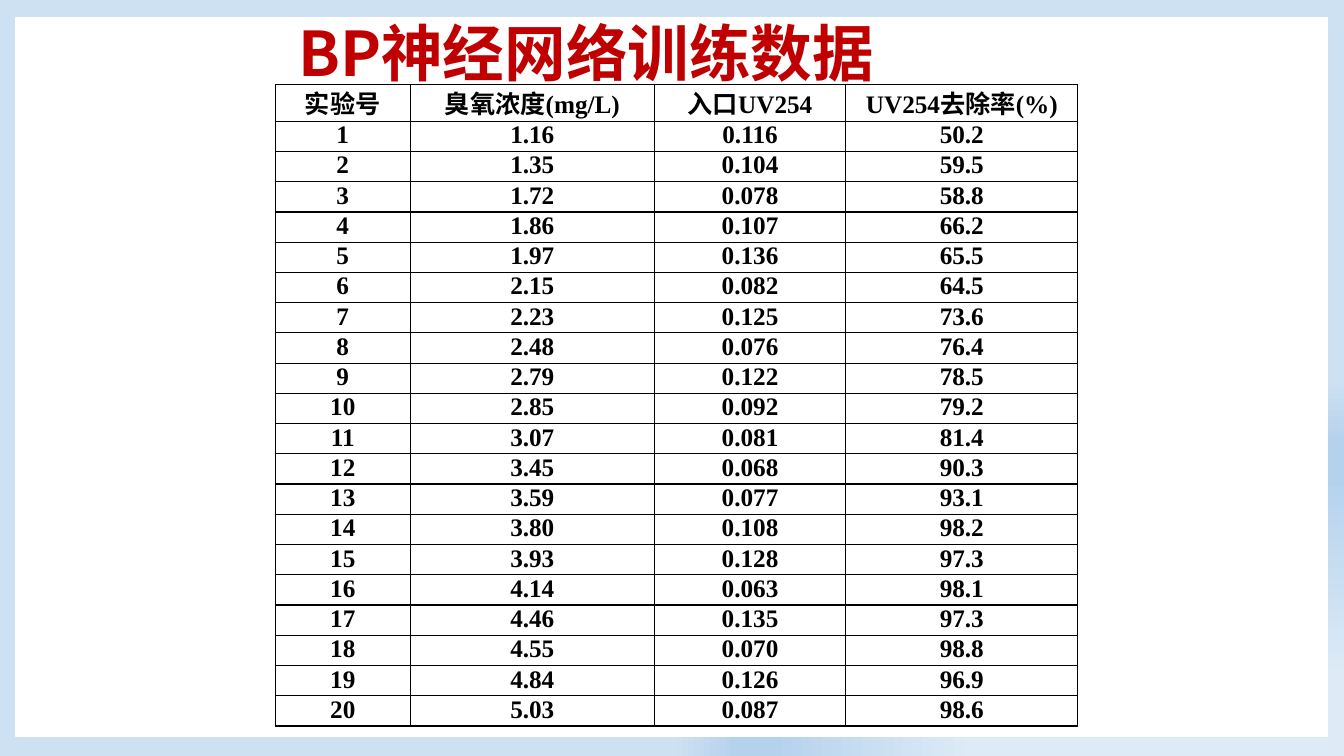
import pptx
import pptx.dml.color
import pptx.enum.shapes
import pptx.enum.text
import pptx.oxml
import pptx.oxml.ns
import pptx.util

CJK_FONT = "Noto Sans CJK SC"
NAMESPACE = pptx.oxml.ns.nsdecls("a")
CELL = pptx.util.Inches(0.1)  # side of one square of the layout grid


def paint(target, colour):
    """Set a fill or a font to a colour given as a hex string."""
    if hasattr(target, "solid"):
        target.solid()
        target = target.fore_color
    else:
        target = target.color
    target.rgb = pptx.dml.color.RGBColor.from_string(colour)


def add_span(para, text, size, font, colour):
    """Add one bold run, with the CJK font for its Chinese characters."""
    span = para.add_run()
    span.text = text
    span.font.size = pptx.util.Pt(size)
    span.font.bold = True
    span.font.name = font
    paint(span.font, colour)
    span.font._element.append(
        pptx.oxml.parse_xml(f'<a:ea {NAMESPACE} typeface="{CJK_FONT}"/>'))


deck = pptx.Presentation()
deck.slide_width = pptx.util.Inches(13.33)
deck.slide_height = pptx.util.Inches(7.5)
page = deck.slides.add_slide(deck.slide_layouts[6])

# Background: rectangular gradient spreading from the bottom right corner
page.background.fill.gradient()
gradient = page.element.find(".//" + pptx.oxml.ns.qn("a:gradFill"))
stops = [(20, "DEEBF7"), (74, "B5D2EC"), (83, "B5D2EC"), (100, "CEE1F2")]
stop_xml = "".join(
    f'<a:gs pos="{share * 1000}"><a:srgbClr val="{colour}"/></a:gs>'
    for share, colour in stops)
gradient.getparent().replace(gradient, pptx.oxml.parse_xml(
    f'<a:gradFill {NAMESPACE} rotWithShape="1"><a:gsLst>{stop_xml}</a:gsLst>'
    '<a:path path="rect"><a:fillToRect l="100000" t="100000"/></a:path>'
    '</a:gradFill>'))

# White panel
panel = page.shapes.add_shape(
    pptx.enum.shapes.MSO_SHAPE.RECTANGLE,
    *(int(CELL * count) for count in (1.6, 1.8, 130.1, 71.3)))
panel.shadow.inherit = False
paint(panel.fill, "FFFFFF")
paint(panel.line.fill, "FFFFFF")
panel.line.width = pptx.util.Pt(1)

# Training data
header = ("实验号", "臭氧浓度(mg/L)", "入口UV254", "UV254去除率(%)")
ozone = ("1.16 1.35 1.72 1.86 1.97 2.15 2.23 2.48 2.79 2.85 "
         "3.07 3.45 3.59 3.80 3.93 4.14 4.46 4.55 4.84 5.03").split()
inlet = ("0.116 0.104 0.078 0.107 0.136 0.082 0.125 0.076 0.122 0.092 "
         "0.081 0.068 0.077 0.108 0.128 0.063 0.135 0.070 0.126 0.087").split()
removal = ("50.2 59.5 58.8 66.2 65.5 64.5 73.6 76.4 78.5 79.2 "
           "81.4 90.3 93.1 98.2 97.3 98.1 97.3 98.8 96.9 98.6").split()
numbers = [str(number) for number in range(1, len(ozone) + 1)]
records = [header, *zip(numbers, ozone, inlet, removal)]

# Table
column_cells = (13.4, 24.2, 19, 23)
row_cells = 3
frame = page.shapes.add_table(
    len(records), len(header), int(CELL * 27.3), int(CELL * 8.4),
    int(CELL * sum(column_cells)), CELL * row_cells * len(records))
table = frame.table
table.first_row = False
table.horz_banding = False
for column, count in zip(table.columns, column_cells):
    column.width = int(CELL * count)
for row, record in zip(table.rows, records):
    row.height = CELL * row_cells
    for cell, text in zip(row.cells, record):
        cell.margin_left = cell.margin_right = 0
        cell.margin_top = cell.margin_bottom = 0
        properties = cell._tc.get_or_add_tcPr()
        for side in "LRTB":
            properties.append(pptx.oxml.parse_xml(
                f'<a:ln{side} {NAMESPACE} w="12700"><a:solidFill>'
                f'<a:srgbClr val="000000"/></a:solidFill></a:ln{side}>'))
        cell.fill.background()
        para = cell.text_frame.paragraphs[0]
        para.alignment = pptx.enum.text.PP_ALIGN.CENTER
        add_span(para, text, 18, "Times New Roman", "000000")

# Title
box = page.shapes.add_textbox(
    *(int(CELL * count) for count in (28.6, 1, 64.6, 8.4)))
box.text_frame.word_wrap = True
box.text_frame.auto_size = pptx.enum.text.MSO_AUTO_SIZE.SHAPE_TO_FIT_TEXT
add_span(box.text_frame.paragraphs[0], "BP神经网络训练数据", 44, CJK_FONT, "C00000")

deck.save("out.pptx")
